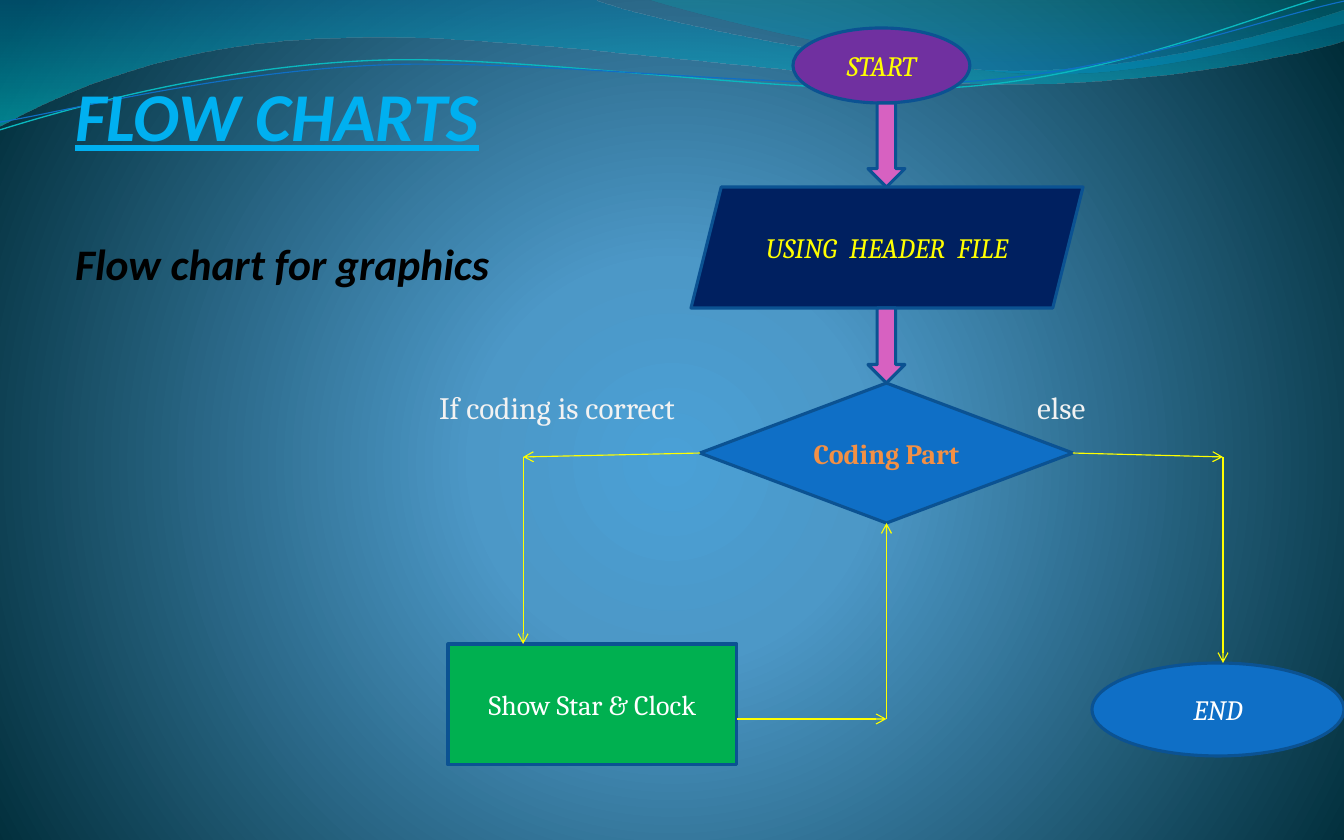
from dataclasses import dataclass
from math import cos, radians, sin

from pptx import Presentation
from pptx.dml.color import RGBColor
from pptx.enum.shapes import MSO_CONNECTOR, MSO_SHAPE
from pptx.enum.text import MSO_ANCHOR, PP_ALIGN
from pptx.oxml import parse_xml
from pptx.oxml.ns import nsdecls, qn
from pptx.util import Inches, Pt

ELLIPSE, DIAMOND, RECTANGLE = MSO_SHAPE.OVAL, MSO_SHAPE.DIAMOND, MSO_SHAPE.RECTANGLE
PARALLELOGRAM, DOWN_ARROW = MSO_SHAPE.PARALLELOGRAM, MSO_SHAPE.DOWN_ARROW
STRAIGHT = MSO_CONNECTOR.STRAIGHT
CENTER, MIDDLE, BOTTOM = PP_ALIGN.CENTER, MSO_ANCHOR.MIDDLE, MSO_ANCHOR.BOTTOM


@dataclass(frozen=True)
class Theme:
    heading_font: str = "Calibri"
    body_font: str = "Cambria"
    title_size: int = 44
    subtitle_size: int = 28
    label_size: int = 20
    node_size: int = 18
    title: str = "00B0F0"
    subtitle: str = "000000"
    label: str = "F2F2F2"
    white: str = "FFFFFF"
    yellow: str = "FFFF00"
    orange: str = "F39045"
    purple: str = "7030A0"
    navy: str = "002060"
    blue: str = "0F6FC6"
    green: str = "00B050"
    pink: str = "D761C1"
    outline: str = "0B5292"
    teal: str = "0AB8BF"
    # Gradient stops: position, colour, opacity (all in percent)
    background: tuple = ((0, "4AA0D6", 100), (25, "4C98C7", 100), (100, "002C38", 100))
    left_wave: tuple = ((0, "0074A1", 45), (100, "00C6CF", 55))
    right_wave: tuple = ((0, "00A1A9", 30), (80, "008BBF", 45))


THEME = Theme()


@dataclass(frozen=True)
class Box:
    left: float
    top: float
    width: float
    height: float

    def inches(self):
        return [Inches(v) for v in (self.left, self.top, self.width, self.height)]

    def inside(self, left, top, width, height):
        return Box(self.left + left, self.top + top, width, height)

    def point(self, across, down):
        return self.left + across * self.width, self.top + down * self.height


def rgb(color):
    return RGBColor.from_string(color)


def gradient(stops, direction):
    stop_xml = "".join(
        f'<a:gs pos="{position * 1000}"><a:srgbClr val="{color}">'
        f'<a:alpha val="{opacity * 1000}"/></a:srgbClr></a:gs>'
        for position, color, opacity in stops)
    return f'<a:gradFill {nsdecls("a")}><a:gsLst>{stop_xml}</a:gsLst>{direction}</a:gradFill>'


def format_runs(paragraph, font, size, color, bold=False, italic=False, underline=False):
    for run in paragraph.runs:
        run.font.name, run.font.size = font, Pt(size)
        run.font.color.rgb = rgb(color)
        run.font.bold, run.font.italic, run.font.underline = bold, italic, underline


def add_text_box(slide, box, margins):
    text_frame = slide.shapes.add_textbox(*box.inches()).text_frame
    text_frame.word_wrap = True
    (text_frame.margin_left, text_frame.margin_top,
     text_frame.margin_right, text_frame.margin_bottom) = map(Inches, margins)
    return text_frame


def add_outline(slide, box, start, segments, closed, angle=0, pivot=(0, 0)):
    """Draw lines (x, y) and cubic curves (x1, y1, x2, y2, x, y), tilted by angle."""
    cosine, sine = cos(radians(angle)), sin(radians(angle))
    points = [start] + [s[i:i + 2] for s in segments for i in range(0, len(s), 2)]
    offsets = [(x - pivot[0], y - pivot[1]) for x, y in points]
    points = [(Inches(box.left + pivot[0] + x * cosine + y * sine),
               Inches(box.top + pivot[1] + y * cosine - x * sine)) for x, y in offsets]
    builder = slide.shapes.build_freeform(*points[0])
    builder.add_line_segments(points[1:], close=closed)
    shape = builder.convert_to_shape()
    shape.shadow.inherit = False
    shape.rotation = angle
    # Merge each three-point run into one cubic curve
    steps = iter(list(shape.element.iter(qn("a:lnTo"))))
    for segment in segments:
        parts = [next(steps) for _ in range(len(segment) // 2)]
        if len(parts) == 3:
            curve = parse_xml(f'<a:cubicBezTo {nsdecls("a")}/>')
            parts[0].addprevious(curve)
            for part in parts:
                curve.append(part[0])
                part.getparent().remove(part)
    return shape


def add_backdrop(slide, box):
    direction = ('<a:path path="circle">'
                 '<a:fillToRect l="10000" t="110000" r="10000" b="100000"/></a:path>')
    slide.element.cSld.insert(0, parse_xml(
        f'<p:bg {nsdecls("p")}><p:bgPr>{gradient(THEME.background, direction)}'
        f'<a:effectLst {nsdecls("a")}/></p:bgPr></p:bg>'))
    # Translucent waves
    waves = [
        ((0, 0), [(5.28, -0.01), (5.71, 0.17, 7.96, 0.63, 9.1, 0.63),
                  (10.24, 0.63, 11.5, 0.26, 12, 0.09), (12.01, 0.36),
                  (11.8, 0.44, 10.44, 0.76, 8.95, 0.75),
                  (7.46, 0.75, 4.58, 0.28, 3.09, 0.34),
                  (1.55, 0.36, 0.55, 0.83, -0.01, 1.13), (0, 0)], THEME.left_wave),
        ((5.75, -0.01), [(6.11, 0.11, 8.18, 0.62, 9.22, 0.65),
                         (10.27, 0.69, 11.54, 0.32, 12, 0.21), (12, 0),
                         (5.75, -0.01)], THEME.right_wave),
    ]
    for start, segments, stops in waves:
        shape = add_outline(slide, box, start, segments, True)
        shape.line.fill.background()
        fill = parse_xml(gradient(stops, '<a:lin ang="5400000" scaled="0"/>'))
        shape.element.spPr.find(qn("a:custGeom")).addnext(fill)
    # Thin tilted wave lines
    lines = [
        ((0, 1.16), [(0.58, 0.98, 1.89, 0.6, 3.32, 0.54), (4.75, 0.48, 7.11, 0.88, 8.55, 0.78),
                     (9.99, 0.68, 11.26, 0.11, 11.98, -0.07)], THEME.teal, 0.85, (6, 0.57)),
        ((0, 1.09), [(0.56, 1, 1.97, 0.64, 3.4, 0.58), (4.83, 0.52, 7.17, 0.83, 8.6, 0.73),
                     (10.03, 0.64, 11.29, 0.16, 12, 0.01)], THEME.blue, 0.75, (6, 0.59)),
    ]
    for start, segments, color, width, pivot in lines:
        shape = add_outline(slide, box, start, segments, False, -2.7, pivot)
        shape.fill.background()
        shape.line.color.rgb, shape.line.width = rgb(color), Pt(width)


def add_heading(slide, box):
    text_frame = add_text_box(slide, box, (0, 0, 0.02, 0))
    text_frame.vertical_anchor = BOTTOM
    text_frame.text = "FLOW CHARTS\nFlow chart for graphics"
    title, subtitle = text_frame.paragraphs
    format_runs(title, THEME.heading_font, THEME.title_size, THEME.title, True, True, True)
    format_runs(subtitle, THEME.heading_font, THEME.subtitle_size, THEME.subtitle, True, True)
    subtitle.space_before = Pt(52.5)


def add_branch_labels(slide, box):
    text_frame = add_text_box(slide, box, (0, 0.05, 0.02, 0.05))
    text_frame.text = "If coding is correct\telse"
    paragraph = text_frame.paragraphs[0]
    tab = f'<a:tabLst {nsdecls("a")}><a:tab pos="{Inches(5.34)}" algn="l"/></a:tabLst>'
    paragraph._p.get_or_add_pPr().append(parse_xml(tab))
    format_runs(paragraph, THEME.body_font, THEME.label_size, THEME.label)


def add_node(slide, box, kind, fill, text="", color=THEME.white, bold=False, italic=False):
    shape = slide.shapes.add_shape(kind, *box.inches())
    shape.shadow.inherit = False
    shape.fill.solid()
    shape.fill.fore_color.rgb = rgb(fill)
    shape.line.color.rgb, shape.line.width = rgb(THEME.outline), Pt(2)
    if text:
        shape.text_frame.text = text
        shape.text_frame.vertical_anchor = MIDDLE
        paragraph = shape.text_frame.paragraphs[0]
        paragraph.alignment = CENTER
        format_runs(paragraph, THEME.body_font, THEME.node_size, color, bold, italic)


def add_route(slide, *points):
    """Join the points with straight arrows."""
    for start, end in zip(points, points[1:]):
        connector = slide.shapes.add_connector(STRAIGHT, *map(Inches, start + end))
        connector.line.color.rgb, connector.line.width = rgb(THEME.yellow), Pt(0.75)
        connector.line._get_or_add_ln().append(
            parse_xml(f'<a:tailEnd {nsdecls("a")} type="arrow"/>'))
        connector.element.spPr.append(parse_xml(f'<a:effectLst {nsdecls("a")}/>'))


def add_flow_chart(slide, box):
    start, header = box.inside(3.08, 0, 1.58, 0.67), box.inside(2.17, 1.42, 3.5, 1.08)
    decision = box.inside(2.25, 3.17, 3.33, 1.25)
    show, end = box.inside(0, 5.5, 2.58, 1.08), box.inside(5.75, 5.67, 2.25, 0.83)
    # Steps
    add_node(slide, start, ELLIPSE, THEME.purple, "START", THEME.yellow, italic=True)
    add_node(slide, header, PARALLELOGRAM, THEME.navy, "USING  HEADER  FILE",
             THEME.yellow, italic=True)
    add_node(slide, decision, DIAMOND, THEME.blue, "Coding Part", THEME.orange, bold=True)
    add_node(slide, show, RECTANGLE, THEME.green, "Show Star & Clock")
    add_node(slide, end, ELLIPSE, THEME.blue, "END", italic=True)
    # Block arrows fill the gaps between the steps
    for upper, lower in ((start, header), (header, decision)):
        top = upper.top + upper.height
        add_node(slide, Box(box.left + 3.75, top, 0.33, lower.top - top), DOWN_ARROW, THEME.pink)
    # Branches and the loop back
    turn = box.top + 3.83
    end_top, show_top = end.point(0.52, 0), show.point(0.26, 0)
    show_right, decision_bottom = show.point(1, 0.62), decision.point(0.5, 1)
    add_route(slide, decision.point(1, 0.5), (end_top[0], turn), end_top)
    add_route(slide, decision.point(0, 0.5), (show_top[0], turn), show_top)
    add_route(slide, show_right, (decision_bottom[0], show_right[1]), decision_bottom)


def main():
    presentation = Presentation()
    presentation.slide_width, presentation.slide_height = Inches(12), Inches(7.5)
    slide = presentation.slides.add_slide(presentation.slide_layouts[6])
    add_backdrop(slide, Box(0, 0, 12, 7.5))
    add_heading(slide, Box(0.67, 0.33, 5.22, 2.25))
    add_branch_labels(slide, Box(3.92, 3.42, 8.08, 3.42))
    add_flow_chart(slide, Box(4, 0.25, 8, 6.58))
    presentation.save("out.pptx")


if __name__ == "__main__":
    main()
